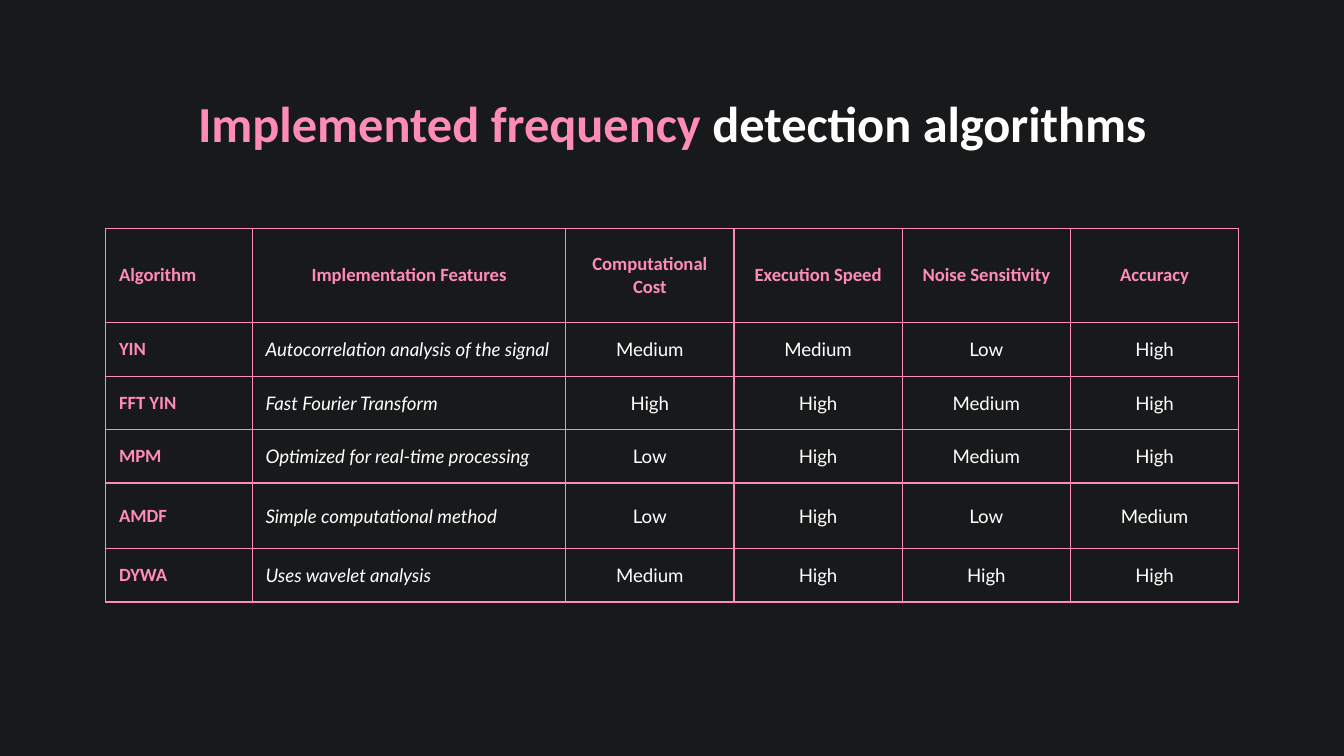
from typing import Any, NamedTuple

from lxml.etree import SubElement
from pptx import Presentation
from pptx.dml.color import RGBColor
from pptx.enum.text import MSO_ANCHOR as Anchor, PP_ALIGN as Align
from pptx.oxml.ns import qn
from pptx.util import Cm, Pt

DARK = RGBColor(0x18, 0x19, 0x1A)
PINK = RGBColor(0xFF, 0x8C, 0xB8)
WHITE = RGBColor(0xFF, 0xFF, 0xFF)

PAD = Cm(0.25)
LEFT, WIDTH = Cm(2), Cm(21.41)
COLS = [2.77, 5.92] + [3.18] * 4
TALLS = [1.78, 1.01, 1.01, 1.01, 1.24, 1.01]


class Style(NamedTuple):
    font: dict[str, Any]
    color: RGBColor
    align: Align = Align.LEFT


class Method(NamedTuple):
    name: str
    feature: str
    cost: str
    speed: str
    noise: str
    score: str


BOLD = {"name": "Calibri", "size": Pt(10), "bold": True}
PLAIN = {"name": "Lato", "size": Pt(10), "bold": False}
BIG = BOLD | {"size": Pt(27)}

HEAD = Style(BOLD, PINK, Align.CENTER)
NAME = Style(BOLD, PINK)
NOTE = Style(PLAIN | {"italic": True}, WHITE)
GRADE = Style(PLAIN, WHITE, Align.CENTER)

TITLES = Method("Algorithm", "Implementation Features", "Computational Cost",
                "Execution Speed", "Noise Sensitivity", "Accuracy")
METHODS = [
    Method("YIN", "Autocorrelation analysis of the signal",
           "Medium", "Medium", "Low", "High"),
    Method("FFT YIN", "Fast Fourier Transform",
           "High", "High", "Medium", "High"),
    Method("MPM", "Optimized for real-time processing",
           "Low", "High", "Medium", "High"),
    Method("AMDF", "Simple computational method",
           "Low", "High", "Low", "Medium"),
    Method("DYWA", "Uses wavelet analysis",
           "Medium", "High", "High", "High"),
]


def apply(item: Any, values: dict[str, Any]) -> None:
    for key, value in values.items():
        setattr(item, key, value)


def pad(item: Any) -> None:
    apply(item, {f"margin_{side}": PAD
                 for side in ("left", "right", "top", "bottom")})


def write(para: Any, text: str, style: Style) -> None:
    para.alignment = style.align
    run = para.add_run()
    run.text = text
    apply(run.font, style.font)
    run.font.color.rgb = style.color


def edge(cell: Any) -> None:
    """Draw a thin pink line on all four sides of a cell."""
    props = cell._tc.get_or_add_tcPr()
    for spot, tag in enumerate(("a:lnL", "a:lnR", "a:lnT", "a:lnB")):
        line = SubElement(props, qn(tag), w=str(Pt(0.75)))
        fill = SubElement(line, qn("a:solidFill"))
        SubElement(fill, qn("a:srgbClr"), val=str(PINK))
        props.insert(spot, line)


def pick(row: int, col: int) -> Style:
    """Choose the style of a cell by its place in the grid."""
    if col == 0:
        return NAME
    if row == 0:
        return HEAD
    return NOTE if col == 1 else GRADE


def add_title(slide: Any) -> None:
    frame = slide.shapes.add_textbox(LEFT, Cm(1.5), WIDTH, Cm(1.6)).text_frame
    frame.word_wrap = True
    pad(frame)
    para = frame.paragraphs[0]
    write(para, "Implemented frequency ", Style(BIG, PINK, Align.CENTER))
    write(para, "detection algorithms", Style(BIG, WHITE, Align.CENTER))


def add_grid(slide: Any) -> None:
    rows = [TITLES, *METHODS]
    grid = slide.shapes.add_table(len(rows), len(COLS), LEFT, Cm(4.32),
                                  WIDTH, Cm(sum(TALLS))).table
    apply(grid, {"first_row": False, "horz_banding": False})
    for col, wide in zip(grid.columns, COLS):
        col.width = Cm(wide)
    for row, tall in zip(grid.rows, TALLS):
        row.height = Cm(tall)
    for r, row in enumerate(rows):
        for c, text in enumerate(row):
            cell = grid.cell(r, c)
            cell.fill.background()
            cell.vertical_anchor = Anchor.MIDDLE
            pad(cell)
            edge(cell)
            write(cell.text_frame.paragraphs[0], text, pick(r, c))


def main() -> None:
    deck = Presentation()
    apply(deck, {"slide_width": Cm(25.4), "slide_height": Cm(14.29)})
    slide = deck.slides.add_slide(deck.slide_layouts[6])
    fill = slide.background.fill
    fill.solid()
    fill.fore_color.rgb = DARK
    add_title(slide)
    add_grid(slide)
    deck.save("out.pptx")


if __name__ == "__main__":
    main()
